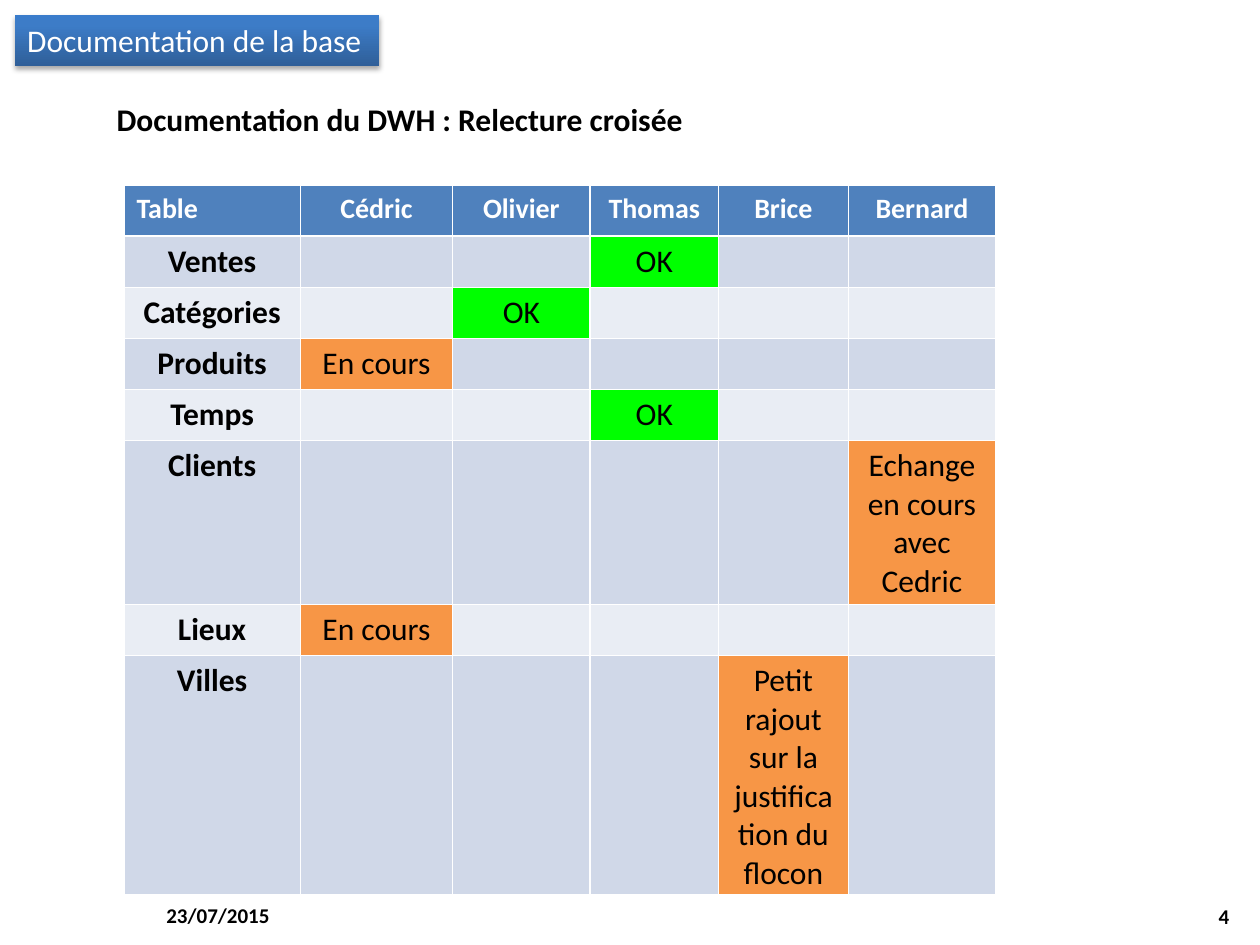
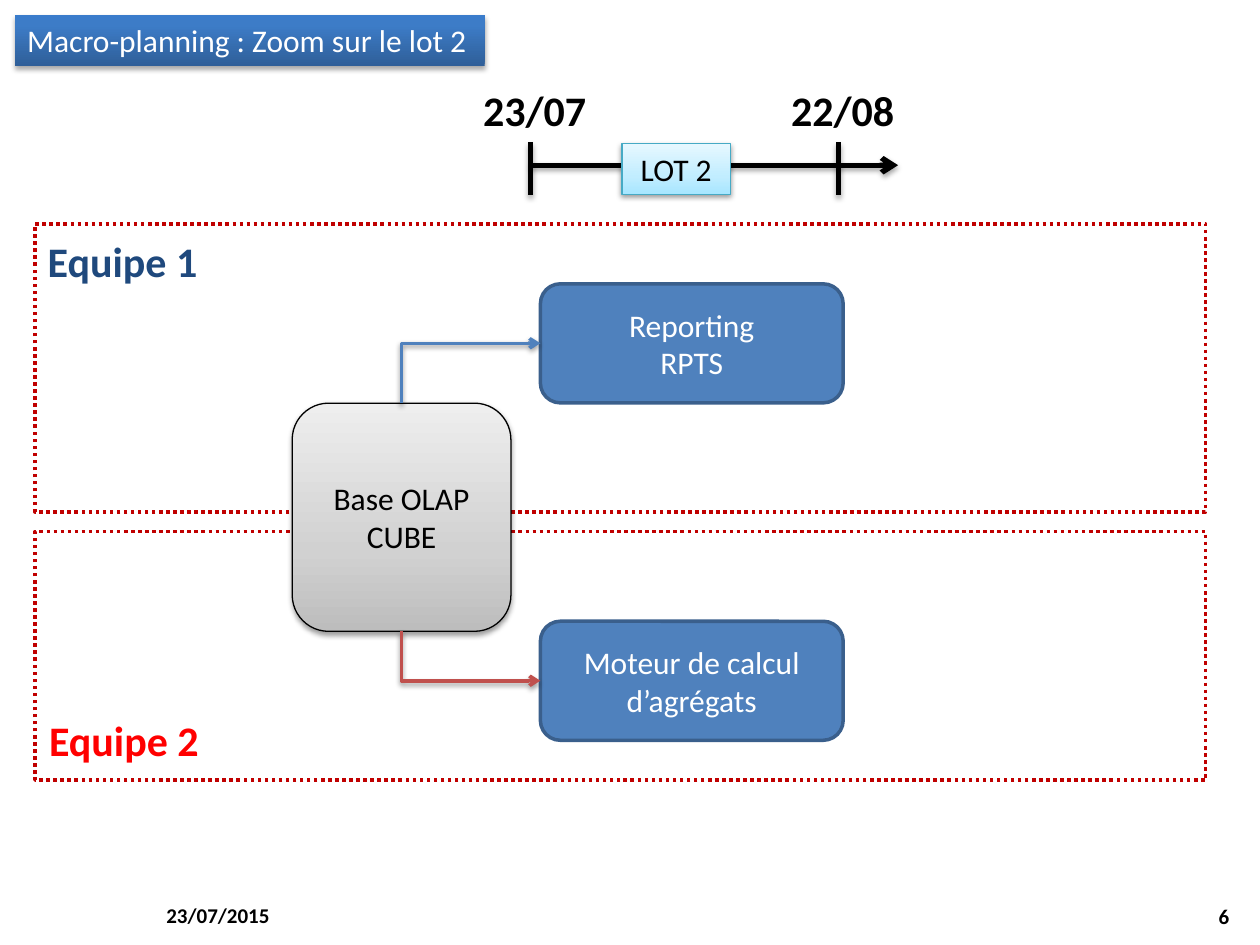
"""Build the data warehouse review table and the lot 2 planning slide."""
from lxml.etree import SubElement
from pptx import Presentation
from pptx.dml.color import RGBColor
from pptx.enum.dml import MSO_LINE
from pptx.enum.shapes import MSO_CONNECTOR, MSO_SHAPE
from pptx.enum.text import MSO_ANCHOR, PP_ALIGN
from pptx.oxml.ns import qn
from pptx.util import Pt

FONT = "Calibri"
BLACK, WHITE, BLUE, RED = "000000", "FFFFFF", "4F81BD", "C0504D"
GREEN, ORANGE = "00FF00", "F79646"
BANDS = ["D0D8E8", "E9EDF4"]
TITLE_GRADIENT = [(0, "2F5F99"), (80, "3D7CC7"), (100, "3A7CCB")]
GREY_GRADIENT = [(0, "BDBDBD"), (35, "D1D1D1"), (100, "EEEEEE")]
CYAN_GRADIENT = [(0, "A7E6FF"), (35, "C1EDFF"), (100, "E7F8FF")]
color = RGBColor.from_string


def add_box(slide, kind, frame, text="", size=18, ink=BLACK, bold=False, align=PP_ALIGN.LEFT,
            anchor=MSO_ANCHOR.TOP, wrap=True, fill=None, line=None, width=2):
    """Add a text box (kind None) or a preset shape with its fill, line and text."""
    lengths = [Pt(length) for length in frame]
    if kind is None:
        shape = slide.shapes.add_textbox(*lengths)
    else:
        shape = slide.shapes.add_shape(kind, *lengths)
        shape.shadow.inherit = False
    if isinstance(fill, list):
        shape.fill.gradient()
        shape.fill.gradient_angle = 90
        stops = shape._element.spPr.find(".//" + qn("a:gsLst"))
        stops.clear()
        for position, tone in fill:
            stop = SubElement(stops, qn("a:gs"), pos=str(position * 1000))
            SubElement(stop, qn("a:srgbClr"), val=tone)
    elif fill:
        shape.fill.solid()
        shape.fill.fore_color.rgb = color(fill)
    else:
        shape.fill.background()
    if line:
        shape.line.color.rgb = color(line)
        shape.line.width = Pt(width)
    else:
        shape.line.fill.background()
    shape.text_frame.text = text
    shape.text_frame.word_wrap = wrap
    shape.text_frame.vertical_anchor = anchor
    for paragraph in shape.text_frame.paragraphs:
        paragraph.alignment = align
        for run in paragraph.runs:
            run.font.name, run.font.size, run.font.bold = FONT, Pt(size), bold
            run.font.color.rgb = color(ink)
    return shape


def finish(shape, opacity=35, distance=1.8, arrow=False):
    """Give a shape or line its soft shadow and, if asked, an arrowhead."""
    properties = shape._element.spPr
    if arrow:
        SubElement(properties.find(qn("a:ln")), qn("a:tailEnd"), type="arrow")
    effects = properties.find(qn("a:effectLst"))
    if effects is None:
        effects = SubElement(properties, qn("a:effectLst"))
    shadow = SubElement(effects, qn("a:outerShdw"), blurRad=str(Pt(3.1)), dist=str(Pt(distance)),
                        dir="5400000", rotWithShape="0")
    tone = SubElement(shadow, qn("a:srgbClr"), val=BLACK)
    SubElement(tone, qn("a:alpha"), val=str(opacity * 1000))


presentation = Presentation()
presentation.slide_width, presentation.slide_height = Pt(720), Pt(540)

slides = []
for title, title_width, number in [("Documentation de la base", 208, "4"),
                                   ("Macro-planning : Zoom sur le lot 2", 268.5, "6")]:
    slide = presentation.slides.add_slide(presentation.slide_layouts[6])
    add_box(slide, None, (88, 508.5, 168, 28.8), "23/07/2015", 12, bold=True,
            anchor=MSO_ANCHOR.MIDDLE)
    add_box(slide, None, (541.5, 509, 168, 28.8), number, 12, bold=True, align=PP_ALIGN.RIGHT,
            anchor=MSO_ANCHOR.MIDDLE)
    finish(add_box(slide, MSO_SHAPE.RECTANGLE, (8.5, 8.5, title_width, 29), title, ink=WHITE,
                   wrap=False, fill=TITLE_GRADIENT))
    slides.append(slide)
review_slide, planning_slide = slides

add_box(review_slide, None, (59.5, 53.5, 341.5, 29), "Documentation du DWH : Relecture croisée",
        bold=True, wrap=False)

headers = ["Table", "Cédric", "Olivier", "Thomas", "Brice", "Bernard"]
reviews = [
    ("Ventes", "Thomas", "OK"),
    ("Catégories", "Olivier", "OK"),
    ("Produits", "Cédric", "En cours"),
    ("Temps", "Thomas", "OK"),
    ("Clients", "Bernard", "Echange en cours avec Cedric"),
    ("Lieux", "Cédric", "En cours"),
    ("Villes", "Brice", "Petit rajout sur la justification du flocon"),
]
rows = [headers]
for name, reviewer, status in reviews:
    rows.append([name] + [status if header == reviewer else "" for header in headers[1:]])

table = review_slide.shapes.add_table(len(rows), len(headers), Pt(70.8), Pt(105.8),
                                      Pt(498.2), Pt(233.6)).table
for column, column_width in zip(table.columns, [100.8, 87.1, 78.5, 73.4, 74.2, 84.2]):
    column.width = Pt(column_width)
for row_index, row in enumerate(rows):
    table.rows[row_index].height = Pt(29.2)
    for column_index, text in enumerate(row):
        cell = table.cell(row_index, column_index)
        is_header = row_index == 0
        if is_header:
            tone = BLUE
        elif column_index and text:
            tone = GREEN if text == "OK" else ORANGE
        else:
            tone = BANDS[(row_index - 1) % 2]
        cell.fill.solid()
        cell.fill.fore_color.rgb = color(tone)
        cell.text_frame.text = text
        paragraph = cell.text_frame.paragraphs[0]
        paragraph.alignment = PP_ALIGN.LEFT if text == "Table" else PP_ALIGN.CENTER
        for run in paragraph.runs:
            run.font.name = FONT
            run.font.size = Pt(16 if is_header else 18)
            run.font.bold = is_header or column_index == 0
            run.font.color.rgb = color(WHITE if is_header else BLACK)

for top, height in [(128, 164.5), (303.8, 142)]:
    team_frame = add_box(planning_slide, MSO_SHAPE.RECTANGLE, (20, top, 669, height), line="C00000")
    team_frame.line.dash_style = MSO_LINE.ROUND_DOT

centred = {"align": PP_ALIGN.CENTER, "anchor": MSO_ANCHOR.MIDDLE}
olap_base = add_box(planning_slide, MSO_SHAPE.ROUNDED_RECTANGLE, (167, 230.4, 125, 130.4),
                    "Base OLAP\nCUBE", fill=GREY_GRADIENT, line=BLACK, width=0.75, **centred)
finish(olap_base, 38, 1.6)
reporting, engine = [
    add_box(planning_slide, MSO_SHAPE.ROUNDED_RECTANGLE, (308.8, top, 173, 68), text, ink=WHITE,
            fill=BLUE, line="3A5F8C", **centred)
    for top, text in [(162.2, "Reporting\nRPTS"), (355, "Moteur de calcul d’agrégats")]]

for left, top, text, ink in [(20.2, 130.8, "Equipe 1", "1F497D"), (21, 404.6, "Equipe 2", "FF0000")]:
    add_box(planning_slide, None, (left, top, 261, 36), text, 24, ink, True)

timeline = [((303, 94.4), (513.2, 94.4))]
for date, tick_left in [("23/07", 303), ("22/08", 479)]:
    add_box(planning_slide, None, (tick_left - 34, 44.6, 80.6, 36), date, 24, bold=True)
    timeline.append(((tick_left, 81.2), (tick_left, 111.4)))
for index, (start, end) in enumerate(timeline):
    connector = planning_slide.shapes.add_connector(
        MSO_CONNECTOR.STRAIGHT, *[Pt(length) for length in start + end])
    connector.line.color.rgb = color(BLACK)
    connector.line.width = Pt(3)
    finish(connector, arrow=index == 0)

for target, side, tone, turn in [(reporting, 0, BLUE, {"rot": "5400000", "flipH": "1", "flipV": "1"}),
                                 (engine, 2, RED, {"rot": "16200000", "flipH": "1", "flipV": "0"})]:
    start_x = olap_base.left + olap_base.width // 2
    start_y = olap_base.top + (olap_base.height if side == 2 else 0)
    end_x, end_y = target.left, target.top + target.height // 2
    connector = planning_slide.shapes.add_connector(MSO_CONNECTOR.ELBOW, start_x, start_y, end_x, end_y)
    connector.begin_connect(olap_base, side)
    connector.end_connect(target, 1)
    connector.width, connector.height = abs(end_y - start_y), end_x - start_x
    connector.left = (start_x + end_x - connector.width) // 2
    connector.top = (start_y + end_y - connector.height) // 2
    properties = connector._element.spPr
    properties.find(qn("a:prstGeom")).set("prst", "bentConnector2")
    for name, value in turn.items():
        properties.find(qn("a:xfrm")).set(name, value)
    connector.line.color.rgb = color(tone)
    connector.line.width = Pt(2)
    finish(connector, 38, 1.6, True)

finish(add_box(planning_slide, MSO_SHAPE.RECTANGLE, (355.4, 82, 62, 29), "LOT 2",
               align=PP_ALIGN.CENTER, fill=CYAN_GRADIENT, line="46AAC5", width=0.75), 38, 1.6)

presentation.save("out.pptx")
